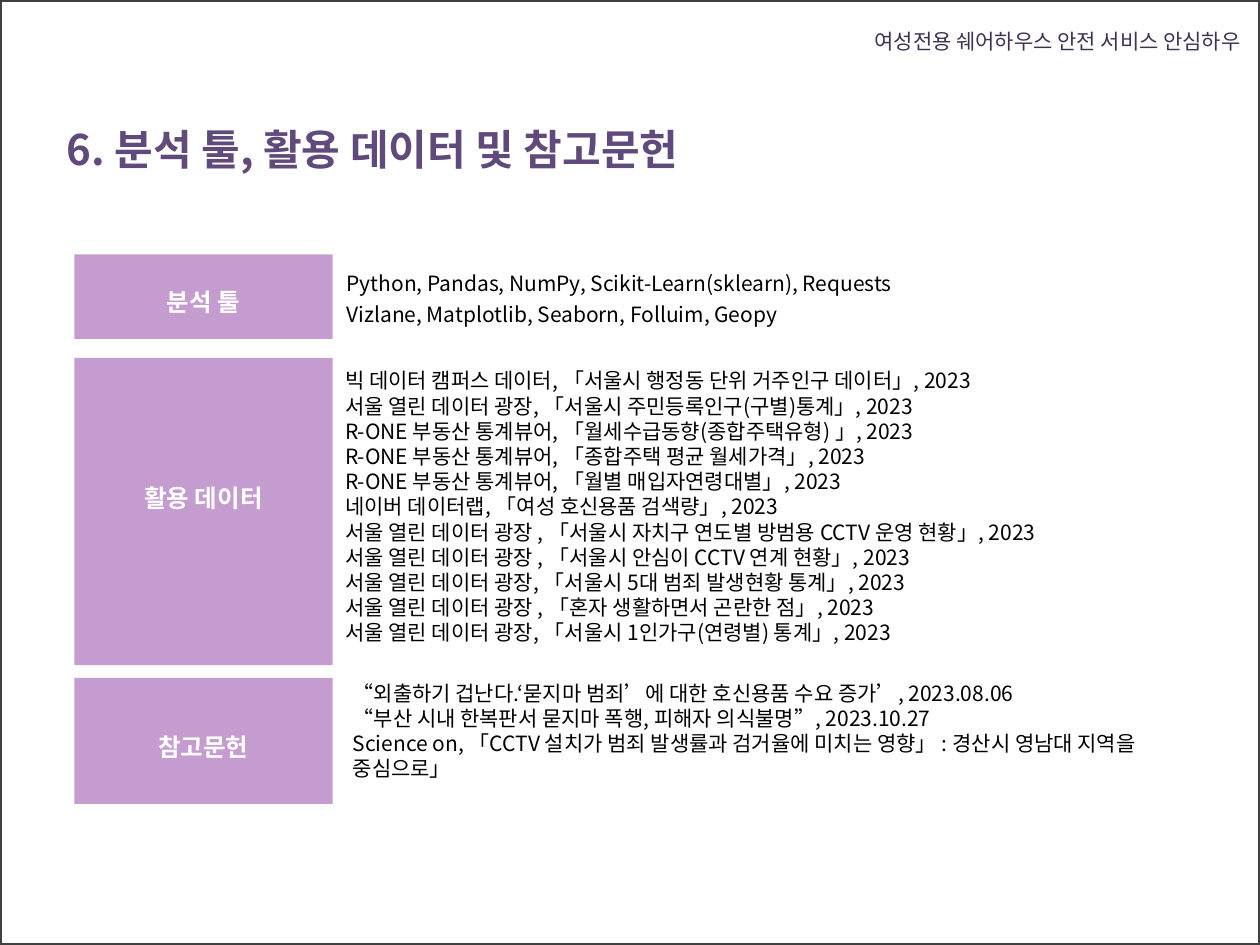
import pptx
import pptx.util
import pptx.dml.color
import pptx.enum.shapes
import pptx.enum.text
from lxml import etree

Pt = pptx.util.Pt
RGBColor = pptx.dml.color.RGBColor
ALIGN = pptx.enum.text.PP_ALIGN
RECT = pptx.enum.shapes.MSO_SHAPE.RECTANGLE

WIDE, HIGH = pptx.util.Inches(10), pptx.util.Inches(7.5)
COLS, ROWS = 100, 75
FACE = "Noto Sans CJK KR"
PLUM = RGBColor(0x60, 0x4A, 0x7B)
DARK = RGBColor(0x40, 0x31, 0x52)
LILAC = RGBColor(0xC5, 0x9C, 0xD0)
GREY = RGBColor(0x40, 0x40, 0x40)
BLACK = RGBColor(0, 0, 0)
WHITE = RGBColor(255, 255, 255)

TOOLS = [
    "Python, Pandas, NumPy, Scikit-Learn(sklearn), Requests",
    "Vizlane, Matplotlib, Seaborn, Folluim, Geopy",
]
DATA = [
    "빅 데이터 캠퍼스 데이터, 「서울시 행정동 단위 거주인구 데이터」, 2023",
    "서울 열린 데이터 광장, 「서울시 주민등록인구(구별)통계」, 2023",
    "R-ONE 부동산 통계뷰어, 「월세수급동향(종합주택유형) 」, 2023",
    "R-ONE 부동산 통계뷰어, 「종합주택 평균 월세가격」, 2023",
    "R-ONE 부동산 통계뷰어, 「월별 매입자연령대별」, 2023",
    "네이버 데이터랩, 「여성 호신용품 검색량」, 2023",
    "서울 열린 데이터 광장 , 「서울시 자치구 연도별 방범용 CCTV 운영 현황」, 2023",
    "서울 열린 데이터 광장 , 「서울시 안심이 CCTV 연계 현황」, 2023",
    "서울 열린 데이터 광장, 「서울시 5대 범죄 발생현황 통계」, 2023",
    "서울 열린 데이터 광장 , 「혼자 생활하면서 곤란한 점」, 2023",
    "서울 열린 데이터 광장, 「서울시 1인가구(연령별) 통계」, 2023",
]
PAPERS = [
    "“외출하기 겁난다.‘묻지마 범죄’에 대한 호신용품 수요 증가’, 2023.08.06",
    "“부산 시내 한복판서 묻지마 폭행, 피해자 의식불명”, 2023.10.27",
    "Science on, 「CCTV 설치가 범죄 발생률과 검거율에 미치는 영향」 : 경산시 영남대 지역을 중심으로」",
]


def grid(left, top, width, height):
    """Turn columns and rows into slide lengths."""
    col, row = WIDE / COLS, HIGH / ROWS
    return [int(n) for n in (left * col, top * row, width * col, height * row)]


def move(shape, box):
    shape.left, shape.top, shape.width, shape.height = grid(*box)


def write(shape, lines, size, color, bold=False, align=ALIGN.LEFT, space=1.0):
    """Fill a text shape, one paragraph a line, without bullets."""
    frame = shape.text_frame
    frame.word_wrap = True
    frame.auto_size = pptx.enum.text.MSO_AUTO_SIZE.NONE
    frame.vertical_anchor = pptx.enum.text.MSO_ANCHOR.TOP
    for i, line in enumerate(lines):
        par = frame.add_paragraph() if i else frame.paragraphs[0]
        props = par._p.get_or_add_pPr()
        props.set("marL", "0")
        props.set("indent", "0")
        etree.SubElement(props, pptx.oxml.ns.qn("a:buNone"))
        par.alignment, par.line_spacing = align, space
        par.space_before = Pt(0)
        run = par.add_run()
        run.text = line
        font = run.font
        font.name, font.size, font.bold = FACE, Pt(size), bold
        font.color.rgb = color
        east = etree.SubElement(font._element, pptx.oxml.ns.qn("a:ea"))
        east.set("typeface", FACE)


def block(slide, box):
    shape = slide.shapes.add_shape(RECT, *grid(*box))
    shape.shadow.inherit = False
    return shape


def frame(slide):
    edge = block(slide, (0, 0, COLS, ROWS))
    edge.fill.background()
    edge.line.color.rgb = GREY
    edge.line.width = Pt(2)


def head(title, note):
    move(title, (4.3, 9.3, 73.7, 5))
    write(title, ["6. 분석 툴, 활용 데이터 및 참고문헌"], 24, PLUM, True)
    move(note, (61.6, 1.8, 37.9, 3))
    write(note, ["여성전용 쉐어하우스 안전 서비스 안심하우"], 12, DARK,
          align=ALIGN.RIGHT)


def section(slide, box, name, drop, body, lines, shift, space=1.0):
    """Draw a named tile with its list; drop and shift offset the texts."""
    left, top, width, height = box
    tile, wide = 20.5, 12.7
    fill = block(slide, (left, top, tile, height))
    fill.fill.solid()
    fill.fill.fore_color.rgb = LILAC
    fill.line.fill.background()
    label = slide.shapes.add_textbox(
        *grid(left + (tile - wide) / 2, top + drop, wide, 4.1))
    write(label, [name], 14, WHITE, True, ALIGN.CENTER, 1.5)
    right, down = shift
    move(body, (left + tile + right, top + down, width - tile - right, height))
    write(body, lines, 12, BLACK, space=space)


def main():
    deck = pptx.Presentation()
    deck.slide_width, deck.slide_height = WIDE, HIGH
    slide = deck.slides.add_slide(deck.slide_layouts.get_by_name("Comparison"))
    for mark in list(slide.placeholders):
        if mark.placeholder_format.idx > 4:
            mark._element.getparent().remove(mark._element)
    title, note, tools, data, papers = slide.placeholders
    frame(slide)
    head(title, note)
    section(slide, (5.9, 20.2, 91.2, 6.7), "분석 툴", 0.9,
            tools, TOOLS, (0.1, 0.4), 1.2)
    section(slide, (5.9, 28.4, 91.2, 24.4), "활용 데이터", 8.3,
            data, DATA, (0, 0.3))
    section(slide, (5.9, 53.8, 91.2, 10), "참고문헌", 2.6,
            papers, PAPERS, (0.6, -0.3))
    deck.save("out.pptx")


if __name__ == "__main__":
    main()
